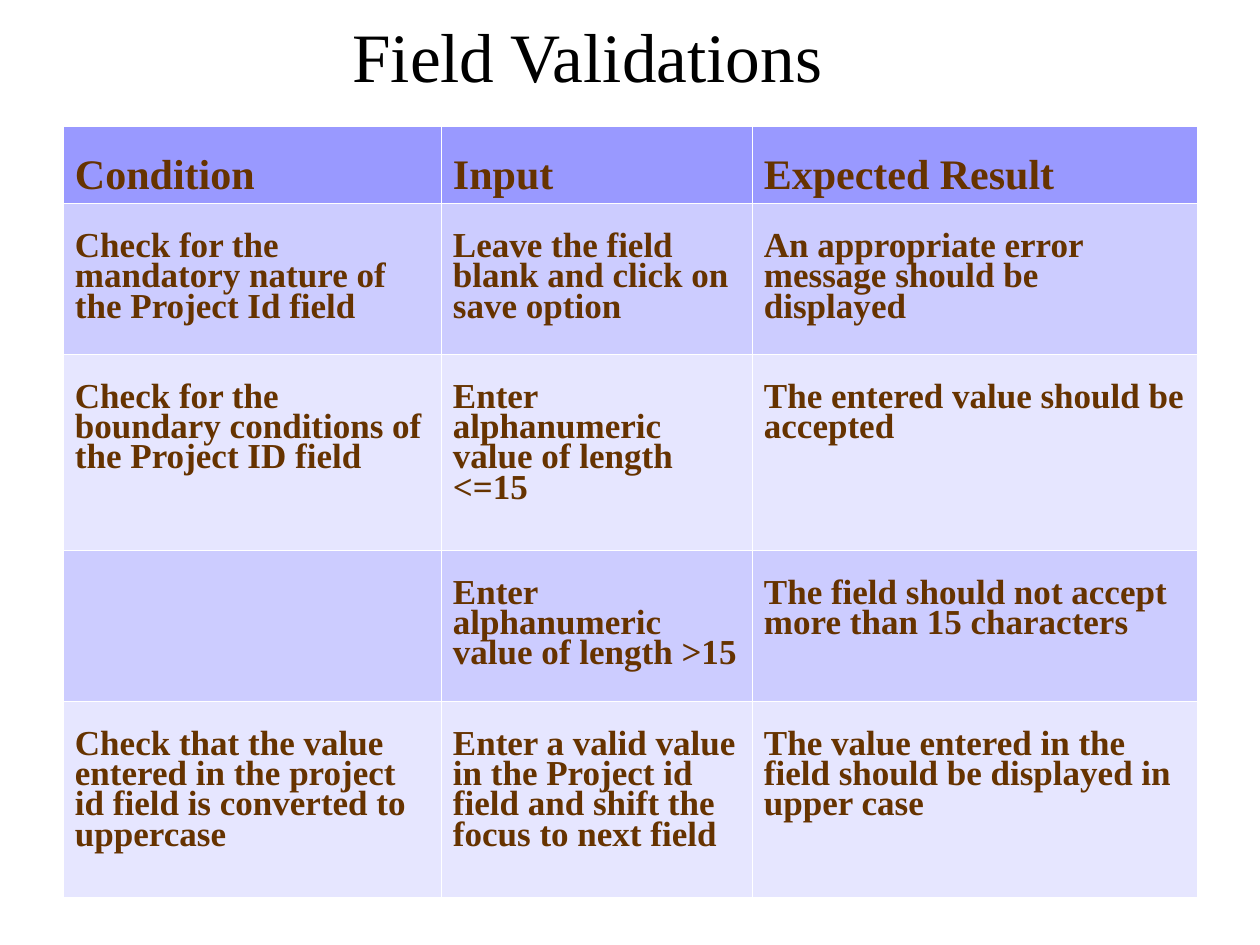
from pptx import Presentation
from pptx.dml.color import RGBColor
from pptx.enum.text import MSO_ANCHOR
from pptx.oxml import parse_xml
from pptx.oxml.ns import nsdecls
from pptx.util import Emu, Pt


def px(n):
    return Emu(round(n * 914400 / 126))


def add_run(para, text, size, color, bold=False):
    run = para.add_run()
    run.text = text
    run.font.name = "Times New Roman"
    run.font.size = Pt(size)
    run.font.bold = bold
    run.font.color.rgb = RGBColor.from_string(color)


deck = Presentation()
deck.slide_width, deck.slide_height = px(1260), px(945)
slide = deck.slides.add_slide(deck.slide_layouts[6])

rows = [
    ("Condition", "Input", "Expected Result"),
    ("Check for the mandatory nature of the Project Id field",
     "Leave the field blank and click on save option",
     "An appropriate error message should be displayed"),
    ("Check for the boundary conditions of the Project ID field",
     "Enter alphanumeric value of length <=15",
     "The entered value should be accepted"),
    ("",
     "Enter alphanumeric value of length >15",
     "The field should not accept more than 15 characters"),
    ("Check that the value entered in the project id field is converted to uppercase",
     "Enter a valid value in the Project id field and shift the focus to next field",
     "The value entered in the field should be displayed in upper case"),
]
widths = [378, 311, 445]
heights = [74, 151, 196, 151, 196]
fills = ["9999FF", "CCCCFF", "E6E6FF", "CCCCFF", "E6E6FF"]

frame = slide.shapes.add_table(
    len(rows), len(widths), px(63), px(126), px(sum(widths)), px(sum(heights)))
table = frame.table
for col, width in zip(table.columns, widths):
    col.width = px(width)

for r, texts in enumerate(rows):
    table.rows[r].height = px(heights[r])
    size, inset, space = (24, 35, 6) if r == 0 else (20, 30, 5)
    for c, text in enumerate(texts):
        cell = table.cell(r, c)
        cell.margin_left = cell.margin_right = px(12)
        cell.margin_top, cell.margin_bottom = px(inset), px(6)
        props = cell._tc.get_or_add_tcPr()
        for side in ("lnL", "lnR", "lnT", "lnB"):
            props.append(parse_xml(
                f'<a:{side} {nsdecls("a")} w="720"><a:solidFill>'
                f'<a:srgbClr val="FFFFFF"/></a:solidFill></a:{side}>'))
        cell.fill.solid()
        cell.fill.fore_color.rgb = RGBColor.from_string(fills[r])
        if text:
            para = cell.text_frame.paragraphs[0]
            para.line_spacing = 0.78
            para.space_before = Pt(space)
            add_run(para, text, size, "663300", True)

title = slide.shapes.add_textbox(px(340), px(9), px(580), px(92)).text_frame
title.word_wrap = True
title.vertical_anchor = MSO_ANCHOR.MIDDLE
add_run(title.paragraphs[0], "Field Validations", 39.6, "000000")

deck.save("out.pptx")
